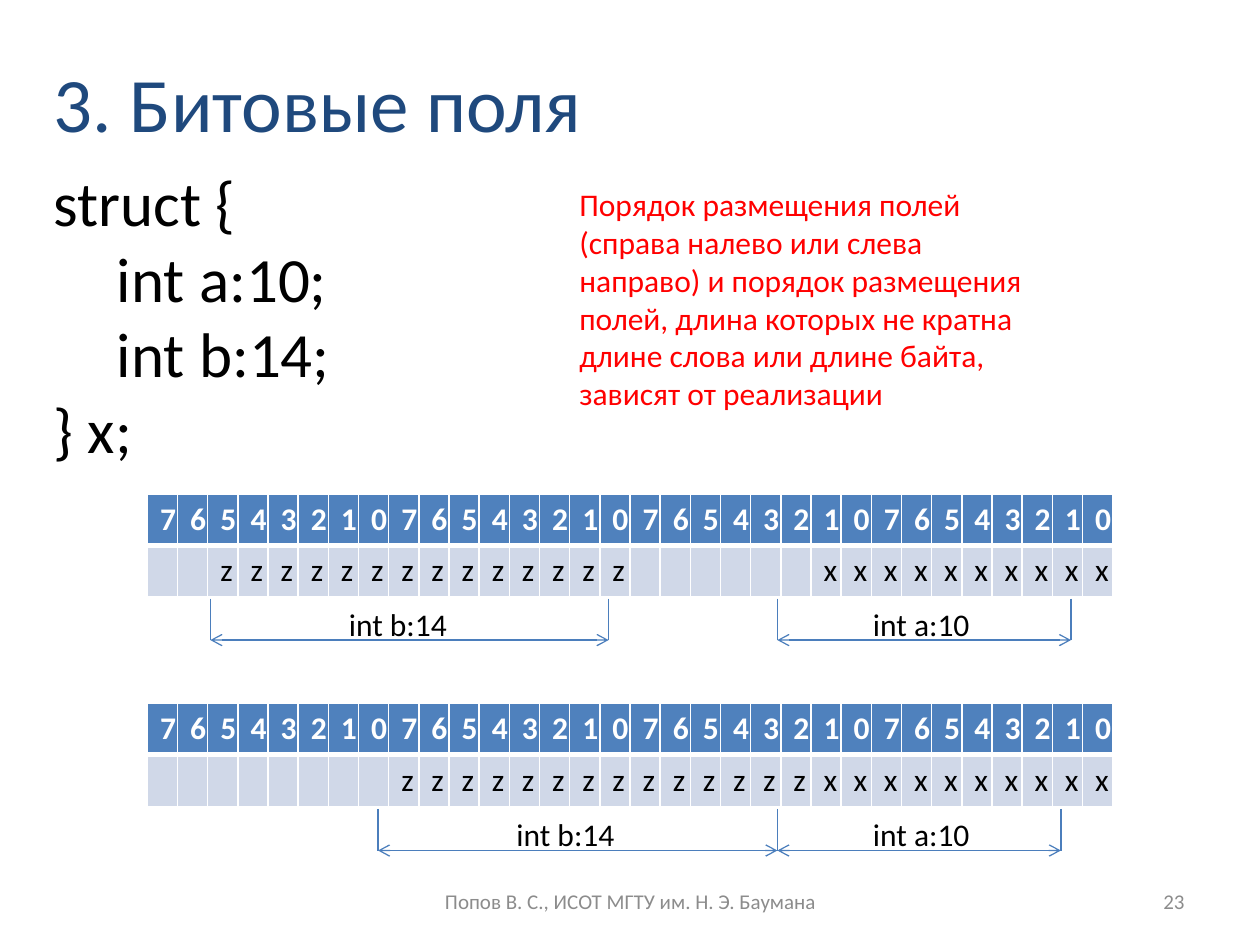
"""Build the slide on bit fields with two memory layouts."""
from lxml import etree
from pptx import Presentation
from pptx.dml.color import RGBColor
from pptx.enum.shapes import MSO_CONNECTOR
from pptx.enum.text import MSO_ANCHOR, PP_ALIGN
from pptx.oxml.ns import qn
from pptx.util import Inches, Pt

LINE = MSO_CONNECTOR.STRAIGHT
TOP, MID = MSO_ANCHOR.TOP, MSO_ANCHOR.MIDDLE
LEFT, CENTER, RIGHT = PP_ALIGN.LEFT, PP_ALIGN.CENTER, PP_ALIGN.RIGHT

COLORS = {"title": "1F497D", "text": "000000", "note": "FF0000", "foot": "8C8C8C",
          "head": "4F81BD", "body": "D0D8E8", "white": "FFFFFF", "line": "4B7EBC"}

CODE = ["struct {", "\tint a:10;", "\tint b:14;", "} x;"]
NOTE = ("Порядок размещения полей (справа налево или слева направо) и порядок "
        "размещения полей, длина которых не кратна длине слова или длине байта, "
        "зависят от реализации")
TEXTS = [
    (["3. Битовые поля"], (0.33, 0, 8.17, 1.61), 44, "title", LEFT, MID),
    (CODE, (0.33, 1.25, 9.33, 2.52), 36, "text", LEFT, TOP),
    ([NOTE], (4.5, 1.42, 3.83, 1.92), 18, "note", LEFT, TOP),
    (["Попов В. С., ИСОТ МГТУ им. Н. Э. Баумана"], (3.42, 6.95, 3.17, 0.4), 12, "foot", CENTER, MID),
    (["23"], (7.17, 6.95, 2.33, 0.4), 12, "foot", RIGHT, MID),
]

HEAD = "76543210" * 4
LAYOUTS = [
    {"top": 3.92, "base": 4.75, "bits": "  " + "z" * 14 + " " * 6 + "x" * 10,
     "fields": [("int b:14", 2.67, 1.67, 4.83), ("int a:10", 6.83, 6.17, 8.5)]},
    {"top": 5.58, "base": 6.42, "bits": " " * 8 + "z" * 14 + "x" * 10,
     "fields": [("int b:14", 4, 3, 6.17), ("int a:10", 6.83, 6.17, 8.42)]},
]
GRID_X, GRID_W, ROW_H, DROP = 1.17, 7.29, 0.41, 0.33


def rgb(name):
    return RGBColor.from_string(COLORS[name])


def style(font, size, color, bold=False):
    form = {"name": "Calibri", "size": Pt(size), "bold": bold}
    for key, value in form.items():
        setattr(font, key, value)
    font.color.rgb = rgb(color)


def add_text(slide, lines, box, size, color, align=LEFT, anchor=TOP, wrap=True):
    frame = slide.shapes.add_textbox(*map(Inches, box)).text_frame
    frame.word_wrap = wrap
    frame.vertical_anchor = anchor
    frame.text = "\n".join(lines)
    for para in frame.paragraphs:
        para.alignment = align
        for run in para.runs:
            style(run.font, size, color)


def add_line(slide, start, end, arrows=False):
    line = slide.shapes.add_connector(LINE, *map(Inches, start + end))
    line.line.color.rgb = rgb("line")
    line.line.width = Pt(0.75)
    props = line._element.spPr
    if arrows:
        for tag in ("a:headEnd", "a:tailEnd"):
            etree.SubElement(props.find(qn("a:ln")), qn(tag), type="arrow")
    etree.SubElement(props, qn("a:effectLst"))


def add_border(cell, bottom):
    props = cell._tc.get_or_add_tcPr()
    for spot, side in enumerate("LRTB"):
        width = Pt(bottom if side == "B" else 1)
        edge = etree.Element(qn("a:ln" + side), w=str(width))
        fill = etree.SubElement(edge, qn("a:solidFill"))
        etree.SubElement(fill, qn("a:srgbClr"), val=COLORS["white"])
        props.insert(spot, edge)


def add_grid(slide, top, bits):
    size = map(Inches, (GRID_X, top, GRID_W, 2 * ROW_H))
    grid = slide.shapes.add_table(2, len(HEAD), *size).table
    for col in grid.columns:
        col.width = Inches(GRID_W / len(HEAD))
    rows = [(HEAD, "head", "white", True, 3), (bits, "body", "text", False, 1)]
    for row, (marks, fill, color, bold, bottom) in enumerate(rows):
        grid.rows[row].height = Inches(ROW_H)
        for col, mark in enumerate(marks):
            cell = grid.cell(row, col)
            cell.text = mark.strip()
            for run in cell.text_frame.paragraphs[0].runs:
                style(run.font, 18, color, bold)
            cell.fill.solid()
            cell.fill.fore_color.rgb = rgb(fill)
            add_border(cell, bottom)


def add_fields(slide, base, fields):
    low = base + DROP
    ends = {x for _, _, left, right in fields for x in (left, right)}
    for x in sorted(ends):
        add_line(slide, (x, base), (x, low))
    for label, x, left, right in fields:
        add_line(slide, (left, low), (right, low), arrows=True)
        add_text(slide, [label], (x, base, 0.99, 0.4), 18, "text", wrap=False)


def main():
    deck = Presentation()
    deck.slide_width, deck.slide_height = Inches(10), Inches(7.5)
    slide = deck.slides.add_slide(deck.slide_layouts[6])
    for item in TEXTS:
        add_text(slide, *item)
    for plan in LAYOUTS:
        add_grid(slide, plan["top"], plan["bits"])
        add_fields(slide, plan["base"], plan["fields"])
    deck.save("out.pptx")


if __name__ == "__main__":
    main()
